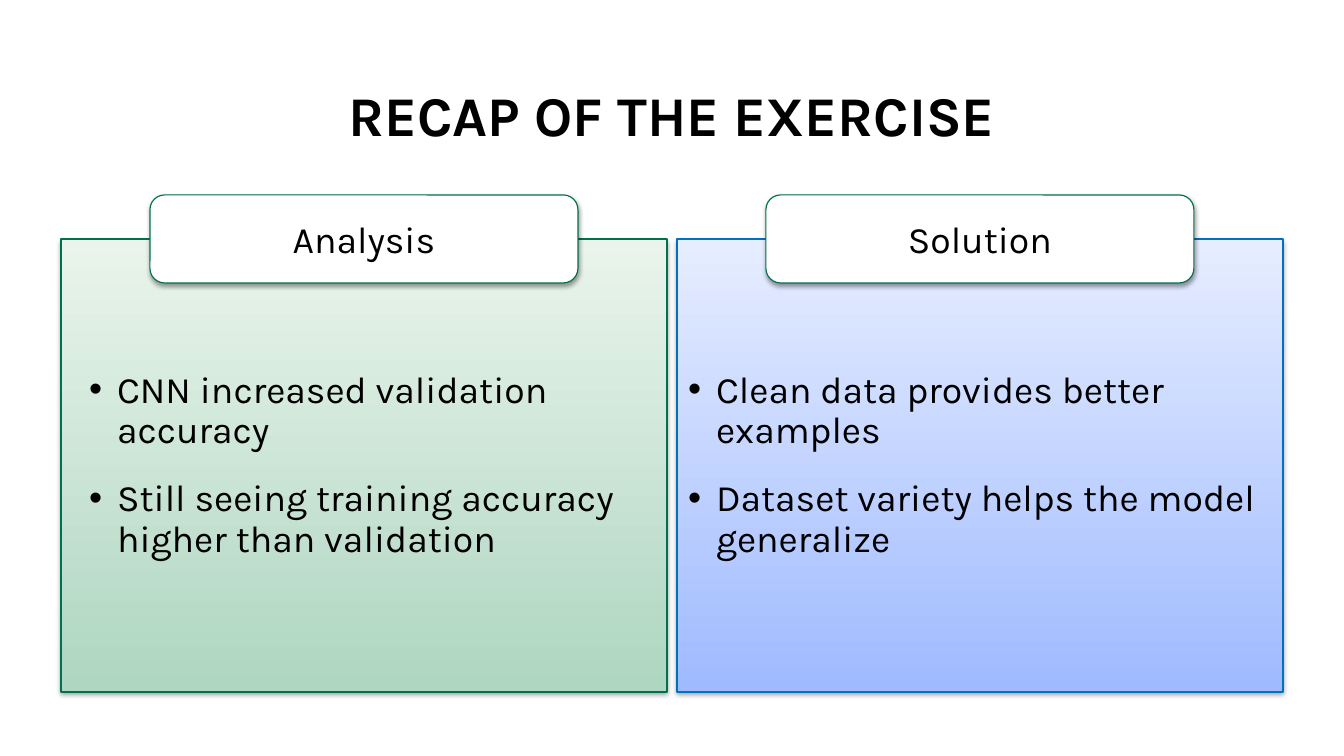
import dataclasses

import lxml.etree
import pptx
import pptx.dml.color
import pptx.enum.shapes
import pptx.enum.text
import pptx.oxml.ns
import pptx.util

SCALE = 914400 // 112
FONT = "Karla"
BLACK, WHITE, GREEN, BLUE = "000000", "FFFFFF", "00714E", "0070C0"
KIND = pptx.enum.shapes.MSO_SHAPE
ANCHOR = pptx.enum.text.MSO_ANCHOR
ALIGN = pptx.enum.text.PP_ALIGN


@dataclasses.dataclass
class Box:
    left: int
    top: int
    width: int
    height: int

    def emu(self) -> list[int]:
        return [px * SCALE for px in dataclasses.astuple(self)]


@dataclasses.dataclass
class Panel:
    head: str
    points: list[str]
    left: int
    indent: int
    light: str
    dark: str
    edge: str


PANELS = [
    Panel("Analysis",
          ["CNN increased validation accuracy",
           "Still seeing training accuracy higher than validation"],
          61, 45, "EAF4EC", "AED6C0", GREEN),
    Panel("Solution",
          ["Clean data provides better examples",
           "Dataset variety helps the model generalize"],
          677, 28, "E6EDFF", "9FBAFF", BLUE),
]


def color(code: str) -> pptx.dml.color.RGBColor:
    return pptx.dml.color.RGBColor.from_string(code)


def node(parent, tag: str, **attrs: str):
    item = lxml.etree.SubElement(parent, pptx.oxml.ns.qn(tag))
    for key, value in attrs.items():
        item.set(key, value)
    return item


def write(para, text: str, size: int, bold: bool = False) -> None:
    run = para.add_run()
    run.text = text
    run.font.name = FONT
    run.font.size = pptx.util.Pt(size)
    run.font.bold = bold
    run.font.color.rgb = color(BLACK)


def bullet(para, indent: int) -> None:
    """Hang a round bullet 28 px left of the text."""
    props = para._p.get_or_add_pPr()
    props.set("marL", str(indent * SCALE))
    props.set("indent", str(-28 * SCALE))
    node(props, "a:buFont", typeface="Arial")
    node(props, "a:buChar", char="•")


def block(slide, kind, box: Box, edge: str):
    """Add an outlined shape with a soft shadow below it."""
    shape = slide.shapes.add_shape(kind, *box.emu())
    shape.line.color.rgb = color(edge)
    shape.line.width = pptx.util.Pt(0.75)
    shape.shadow.inherit = False
    effects = shape.element.spPr.find(pptx.oxml.ns.qn("a:effectLst"))
    shadow = node(effects, "a:outerShdw", blurRad="39370", dist="20320",
                  dir="5400000", rotWithShape="0")
    node(node(shadow, "a:srgbClr", val=BLACK), "a:alpha", val="38000")
    shape.text_frame.word_wrap = True
    shape.text_frame.vertical_anchor = ANCHOR.MIDDLE
    return shape


def body(slide, panel: Panel) -> None:
    shape = block(slide, KIND.RECTANGLE, Box(panel.left, 239, 606, 453), panel.edge)
    shape.fill.gradient()
    shape.fill.gradient_angle = 270
    for stop, code in zip(shape.fill.gradient_stops, (panel.light, panel.dark)):
        stop.color.rgb = color(code)
    frame = shape.text_frame
    for index, text in enumerate(panel.points):
        para = frame.add_paragraph() if index else frame.paragraphs[0]
        bullet(para, panel.indent)
        para.alignment = ALIGN.LEFT
        para.line_spacing = 0.9
        if index:
            para.space_before = pptx.util.Pt(18)
        write(para, text, 24)


def label(slide, panel: Panel) -> None:
    box = Box(panel.left + 89, 195, 428, 88)
    shape = block(slide, KIND.ROUNDED_RECTANGLE, box, GREEN)
    shape.fill.solid()
    shape.fill.fore_color.rgb = color(WHITE)
    para = shape.text_frame.paragraphs[0]
    para.alignment = ALIGN.CENTER
    write(para, panel.head, 24)


def title(slide, text: str) -> None:
    frame = slide.shapes.add_textbox(*Box(61, 81, 1222, 73).emu()).text_frame
    frame.word_wrap = True
    frame.vertical_anchor = ANCHOR.BOTTOM
    para = frame.paragraphs[0]
    para.alignment = ALIGN.CENTER
    para.line_spacing = 0.9
    write(para, text, 36, bold=True)


def main() -> None:
    deck = pptx.Presentation()
    deck.slide_width = pptx.util.Inches(12)
    deck.slide_height = pptx.util.Inches(6.75)
    slide = deck.slides.add_slide(deck.slide_layouts[6])
    title(slide, "RECAP OF THE EXERCISE")
    for draw in (body, label):
        for panel in PANELS:
            draw(slide, panel)
    deck.save("out.pptx")


if __name__ == "__main__":
    main()
